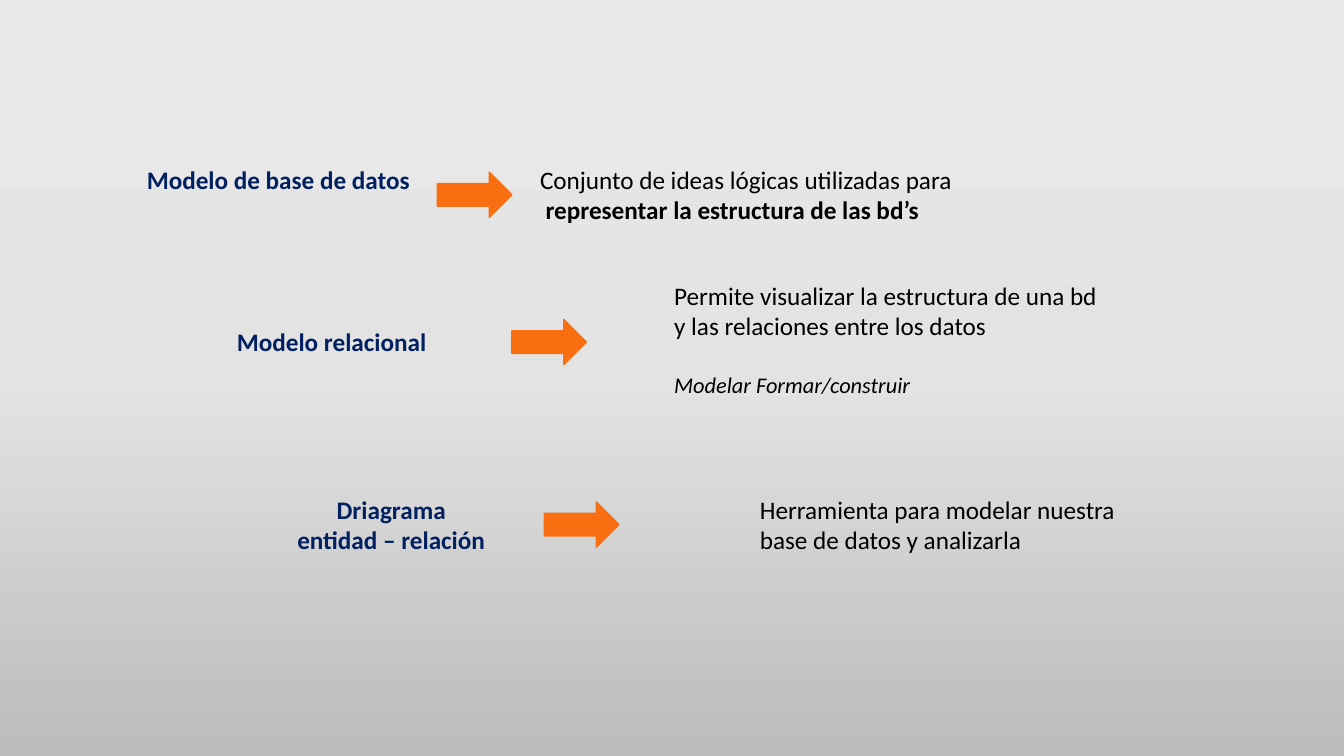
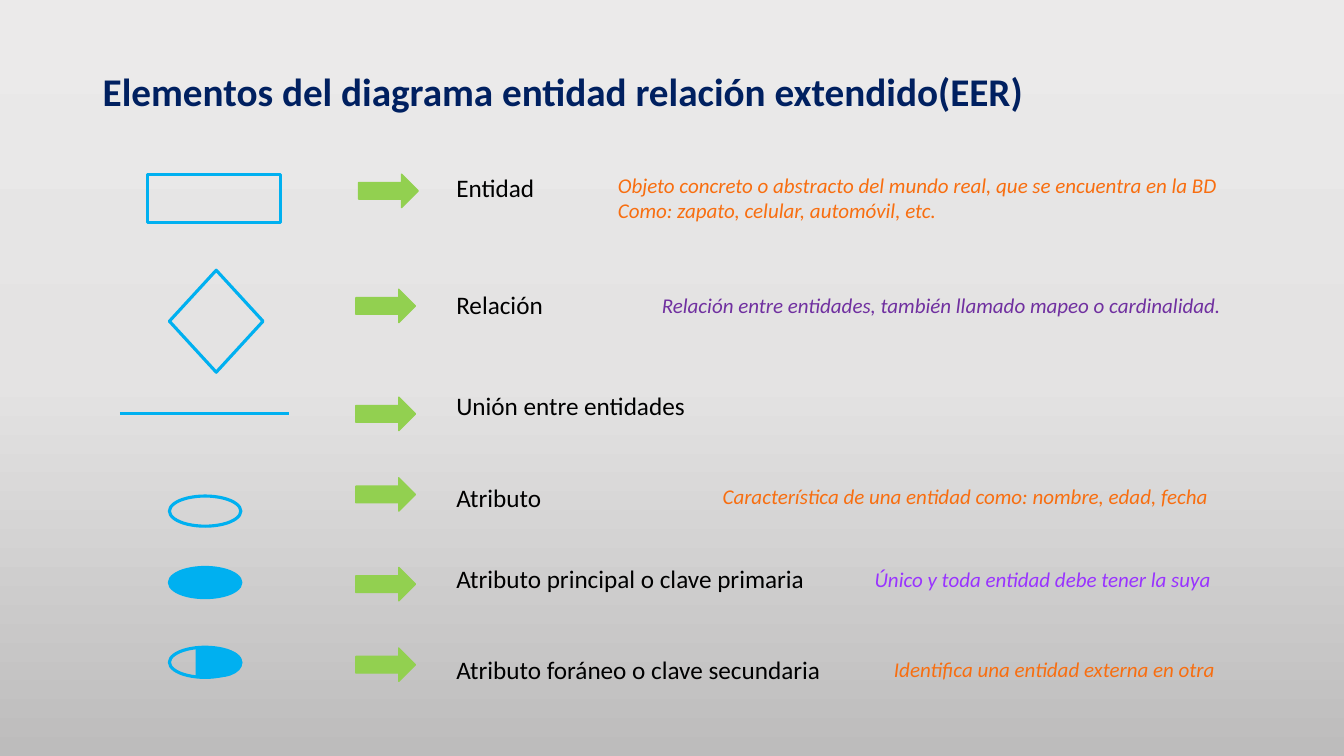
"""Build two slides on database models and the elements of the EER diagram."""
import copy

import pptx
import pptx.dml.color
import pptx.enum.shapes
import pptx.enum.text
import pptx.oxml.ns
import pptx.util

Cm = pptx.util.Cm
Pt = pptx.util.Pt
Shape = pptx.enum.shapes.MSO_SHAPE
Align = pptx.enum.text.PP_ALIGN
Anchor = pptx.enum.text.MSO_ANCHOR
qn = pptx.oxml.ns.qn

COLORS = {
    "navy": "002060",
    "black": "000000",
    "orange": "F86E10",
    "green": "92D050",
    "blue": "00B0F0",
    "purple": "7030A0",
    "violet": "9933FF",
    "top": "EBEAEA",
    "middle": "E4E3E3",
    "bottom": "BDBCBC",
}
FONT = "Calibri"


def rgb(name):
    return pptx.dml.color.RGBColor.from_string(COLORS[name])


def write(para, text, size=18, color="black", bold=False, italic=False,
          align=Align.LEFT, before=0, indent=0, spacing=None):
    para.alignment = align
    para.space_before = Pt(before)
    if spacing:
        para.line_spacing = spacing
    if indent:
        para._p.get_or_add_pPr().set("marL", str(Cm(indent)))
    run = para.add_run()
    run.text = text
    font = run.font
    font.name, font.size = FONT, Pt(size)
    font.bold, font.italic = bold, italic
    font.color.rgb = rgb(color)


class Deck:
    def __init__(self):
        self.file = pptx.Presentation()
        self.file.slide_width = Cm(33.87)
        self.file.slide_height = Cm(19.05)
        self.slide = None

    def page(self):
        self.slide = self.file.slides.add_slide(self.file.slide_layouts[6])
        fill = self.slide.background.fill
        fill.gradient()
        fill.gradient_angle = 270
        stop = next(self.slide.element.iter(qn("a:gs")))
        stop.addnext(copy.deepcopy(stop))
        shades = zip(fill.gradient_stops, ("top", "middle", "bottom"), (0, 0.5, 1))
        for item, name, place in shades:
            item.color.rgb = rgb(name)
            item.position = place

    def text(self, x, y, w, h, *lines, anchor=Anchor.TOP, **style):
        box = self.slide.shapes.add_textbox(Cm(x), Cm(y), Cm(w), Cm(h))
        frame = box.text_frame
        frame.word_wrap = True
        frame.vertical_anchor = anchor
        for i, line in enumerate(lines):
            text, extra = (line, {}) if isinstance(line, str) else line
            para = frame.add_paragraph() if i else frame.paragraphs[0]
            write(para, text, **{**style, **extra})

    def title(self, text):
        self.text(2.34, 1.35, 29.21, 2.03, text, anchor=Anchor.MIDDLE,
                  size=28, color="navy", bold=True, spacing=0.9)

    def shape(self, kind, x, y, w, h, fill=None, line="blue", width=2.25):
        item = self.slide.shapes.add_shape(kind, Cm(x), Cm(y), Cm(w), Cm(h))
        item.shadow.inherit = False
        if fill:
            item.fill.solid()
            item.fill.fore_color.rgb = rgb(fill)
        else:
            item.fill.background()
        item.line.color.rgb = rgb(line)
        item.line.width = Pt(width)

    def arrow(self, x, y, w, h, color):
        self.shape(Shape.RIGHT_ARROW, x, y, w, h, color, color, 1)

    def line(self, x, y, w):
        item = self.slide.shapes.add_connector(
            pptx.enum.shapes.MSO_CONNECTOR.STRAIGHT,
            Cm(x), Cm(y), Cm(x + w), Cm(y))
        item.line.color.rgb = rgb("blue")
        item.line.width = Pt(2.25)
        props = item._element.spPr
        props.append(props.makeelement(qn("a:effectLst"), {}))


def models(deck):
    deck.page()
    for x, y in ((11.02, 4.34), (12.9, 8.05), (13.72, 12.65)):
        deck.arrow(x, y, 1.88, 1.14, "orange")

    term = {"color": "navy", "bold": True}
    deck.text(3.45, 4.01, 7.5, 1, "Modelo de base de datos", **term)
    deck.text(5.72, 8.1, 6, 1, "Modelo relacional", **term)
    deck.text(6.71, 12.32, 6.3, 1.8, "Driagrama", "entidad – relación",
              align=Align.CENTER, **term)

    deck.text(13.36, 4.01, 12, 1.8,
              "Conjunto de ideas lógicas utilizadas para",
              ("representar la estructura de las bd’s",
               {"bold": True, "indent": 0.14}))
    deck.text(16.74, 6.93, 12, 3.33,
              "Permite visualizar la estructura de una bd",
              "y las relaciones entre los datos",
              ("Modelar Formar/construir",
               {"size": 16, "italic": True, "before": 22}))
    deck.text(18.9, 12.32, 10.5, 1.8,
              "Herramienta para modelar nuestra",
              "base de datos y analizarla")


def parts(deck):
    deck.page()
    deck.title("Elementos del diagrama entidad relación extendido(EER)")

    deck.shape(Shape.RECTANGLE, 3.71, 4.39, 3.35, 1.22)
    deck.shape(Shape.DIAMOND, 4.27, 6.81, 2.36, 2.57)
    deck.line(3.02, 10.41, 4.27)
    for y, fill in ((12.5, None), (14.3, "blue"), (16.31, None)):
        deck.shape(Shape.OVAL, 4.27, y, 1.8, 0.76, fill)
    deck.shape(Shape.FLOWCHART_DELAY, 4.95, 16.36, 1.14, 0.69, "blue", width=1)

    terms = (
        (9.04, 4.39, 4.22, "Entidad"),
        (8.97, 7.29, 7.16, "Relación"),
        (8.97, 10.01, 9.7, "Unión entre entidades"),
        (8.97, 12.04, 12.04, "Atributo"),
        (8.97, 14.3, 14.07, "Atributo principal o clave primaria"),
        (8.97, 16.33, 16.36, "Atributo foráneo o clave secundaria"),
    )
    for x, tip, y, name in terms:
        deck.arrow(x, tip, 1.5, 0.84, "green")
        deck.text(11.25, y, 10.5, 1, name)

    notes = (
        (15.32, 4.22, "orange",
         "Objeto concreto o abstracto del mundo real, que se encuentra en la BD",
         "Como: zapato, celular, automóvil, etc."),
        (16.43, 7.24, "purple",
         "Relación entre entidades, también llamado mapeo o cardinalidad."),
        (17.96, 12.07, "orange",
         "Característica de una entidad como: nombre, edad, fecha"),
        (21.79, 14.15, "violet", "Único y toda entidad debe tener la suya"),
        (22.28, 16.43, "orange", "Identifica una entidad externa en otra"),
    )
    for x, y, color, *lines in notes:
        deck.text(x, y, 31.6 - x, 0.9 * len(lines), *lines,
                  size=15, color=color, italic=True)


def main():
    deck = Deck()
    models(deck)
    parts(deck)
    deck.file.save("out.pptx")


if __name__ == "__main__":
    main()
